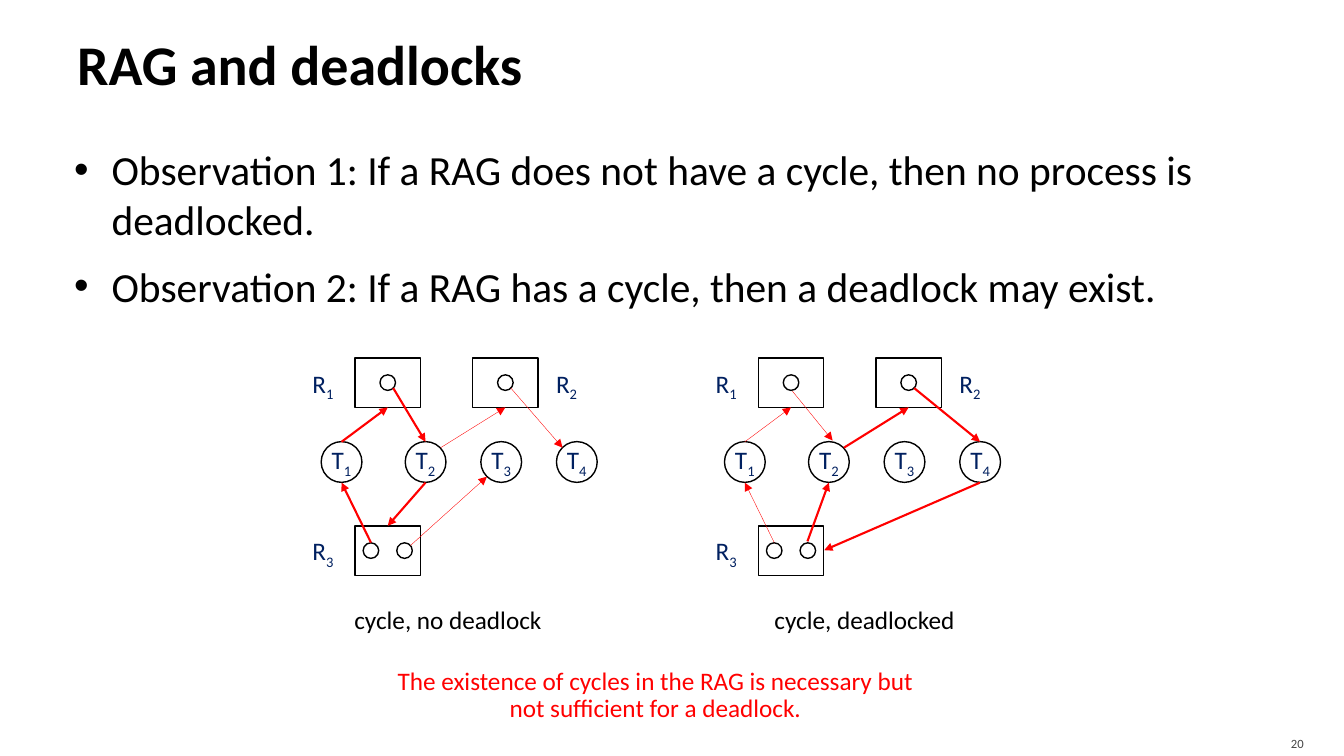
from lxml import etree
from pptx import Presentation
from pptx.dml.color import RGBColor
from pptx.enum.shapes import MSO_CONNECTOR, MSO_SHAPE
from pptx.enum.text import MSO_ANCHOR, PP_ALIGN
from pptx.oxml.ns import qn
from pptx.util import Inches, Pt

RECT, OVAL, STRAIGHT = MSO_SHAPE.RECTANGLE, MSO_SHAPE.OVAL, MSO_CONNECTOR.STRAIGHT
MIDDLE, TOP = MSO_ANCHOR.MIDDLE, MSO_ANCHOR.TOP
LEFT, CENTER, RIGHT = PP_ALIGN.LEFT, PP_ALIGN.CENTER, PP_ALIGN.RIGHT

BLACK, WHITE, NAVY, RED, GRAY = "000000", "FFFFFF", "002060", "FF0000", "454545"
THICK, THIN = 1.5, 0.25

prs = Presentation()
prs.slide_width, prs.slide_height = Inches(13.33), Inches(7.5)
slide = prs.slides.add_slide(prs.slide_layouts[6])
shapes = slide.shapes
CELL = prs.slide_height / 90  # the slide is a grid of 160 by 90 cells


def cells(*counts):
    return [round(count * CELL) for count in counts]


def write(shape, lines, size, color, align=LEFT, anchor=TOP, wrap=True, bold=False):
    """Fill a shape with paragraphs; an underscore starts a subscript."""
    frame = shape.text_frame
    frame.word_wrap, frame.vertical_anchor = wrap, anchor
    for number, line in enumerate(lines):
        paragraph = frame.add_paragraph() if number else frame.paragraphs[0]
        paragraph.alignment = align
        for part, piece in enumerate(line.split("_")):
            run = paragraph.add_run()
            run.text = piece
            run.font.name, run.font.size, run.font.bold = "Calibri", Pt(size), bold
            run.font.color.rgb = RGBColor.from_string(color)
            if part:
                run.font._element.set("baseline", "-25000")
    return frame


title = write(shapes.add_textbox(*cells(8, 1, 144, 13)), ["RAG and deadlocks"],
              40, BLACK, anchor=MIDDLE, bold=True)
title.margin_right = Inches(0.05)

observations = write(shapes.add_textbox(*cells(8, 16, 144, 23)), [
    "Observation 1: If a RAG does not have a cycle, then no process is deadlocked.",
    "Observation 2: If a RAG has a cycle, then a deadlock may exist.",
], 29.6, BLACK)
observations.margin_left, observations.margin_top = Inches(0.06), Inches(0.1)
for number, paragraph in enumerate(observations.paragraphs):
    paragraph.space_before, paragraph.space_after = Pt(6 if number else 0), Pt(6)
    properties = paragraph._p.get_or_add_pPr()
    properties.set("marL", str(Inches(0.38)))
    properties.set("indent", str(Inches(-0.37)))
    etree.SubElement(properties, qn("a:buFont")).set("typeface", "Arial")
    etree.SubElement(properties, qn("a:buChar")).set("char", "•")

# Centres, in cells from the left edge of a graph and the top of the slide
THREAD_ROW, THREAD_SIZE = 55, 4.85
threads = {"T_1": 4.65, "T_2": 14.65, "T_3": 23.65, "T_4": 32.65}
# Resource: centre, left edge of its label, offsets of its instances
resources = {
    "R_1": (10.15, 45.55, 0, [0]),
    "R_2": (24.15, 45.55, 29, [0]),
    "R_3": (10.15, 65.55, 0, [-2, 2]),
}
ABOVE, BELOW = 52.6, 57.45
r3_to_t1 = ((8.15, 64.6), (4.65, BELOW))
t1_to_r1 = ((4.65, ABOVE), (10.15, 48.5))
t2_to_r2 = ((16.45, 53.3), (24.15, 48.5))
graphs = [
    (36, "cycle, no deadlock", 5, [
        (THICK, r3_to_t1),
        (THICK, t1_to_r1),
        (THICK, ((10.8, 46.2), (14.65, ABOVE))),
        (THICK, ((14.65, BELOW), (10.15, 62.6))),
        (THIN, ((12.85, 64.95), (21.95, 56.75))),
        (THIN, ((24.8, 46.2), (30.95, 53.3))),
        (THIN, t2_to_r2),
    ]),
    (84, "cycle, deadlocked", 7, [
        (THIN, r3_to_t1),
        (THIN, t1_to_r1),
        (THIN, ((10.3, 46.55), (15.1, 52.45))),
        (THICK, t2_to_r2),
        (THICK, ((24.8, 46.2), (32.65, ABOVE))),
        (THICK, ((32.65, BELOW), (14.1, 65.5))),
        (THICK, ((12.1, 64.45), (14.65, BELOW))),
    ]),
]

for origin, caption, caption_left, edges in graphs:
    # Every outlined figure: preset, centre, size, text
    figures = [(OVAL, x, THREAD_ROW, THREAD_SIZE, THREAD_SIZE, name)
               for name, x in threads.items()]
    for x, y, label_left, instances in resources.values():
        figures.append((RECT, x, y, 7.8, 5.9, ""))
        figures += [(OVAL, x + offset, y, 1.85, 1.85, "") for offset in instances]
    for preset, x, y, width, height, name in figures:
        figure = shapes.add_shape(
            preset, *cells(origin + x - width / 2, y - height / 2, width, height))
        figure.shadow.inherit = False
        figure.fill.solid()
        figure.fill.fore_color.rgb = RGBColor.from_string(WHITE)
        figure.line.color.rgb = RGBColor.from_string(BLACK)
        figure.line.width = Pt(1)
        if name:
            write(figure, [name], 18, NAVY, CENTER, MIDDLE, wrap=False)

    for name, (x, y, label_left, instances) in resources.items():
        label = shapes.add_textbox(*cells(origin + label_left, y - 2.35, 5.1, 4.8))
        write(label, [name], 18, NAVY, wrap=False)

    for weight, (start, end) in edges:
        edge = shapes.add_connector(STRAIGHT, *cells(
            origin + start[0], start[1], origin + end[0], end[1]))
        edge.line.color.rgb = RGBColor.from_string(RED)
        edge.line.width = Pt(weight)
        etree.SubElement(edge.line._get_or_add_ln(), qn("a:tailEnd")).set("type", "triangle")
        etree.SubElement(edge._element.spPr, qn("a:effectLst"))

    caption_box = shapes.add_textbox(*cells(origin + caption_left, 71.3, 25.5, 4.8))
    write(caption_box, [caption], 18, BLACK, wrap=False)

conclusion = write(shapes.add_textbox(*cells(40, 79, 70, 7.8)), [
    "The existence of cycles in the RAG is necessary but not sufficient for a deadlock.",
], 18, RED, CENTER)
conclusion.paragraphs[0].line_spacing = 0.9
conclusion.paragraphs[0]._p.get_or_add_pPr().set("marL", str(Inches(0.5)))

page_number = write(shapes.add_textbox(*cells(143.5, 86.4, 12.85, 3.6)), ["20"],
                    9, GRAY, RIGHT, MIDDLE)
page_number.margin_bottom = 0

prs.save("out.pptx")
